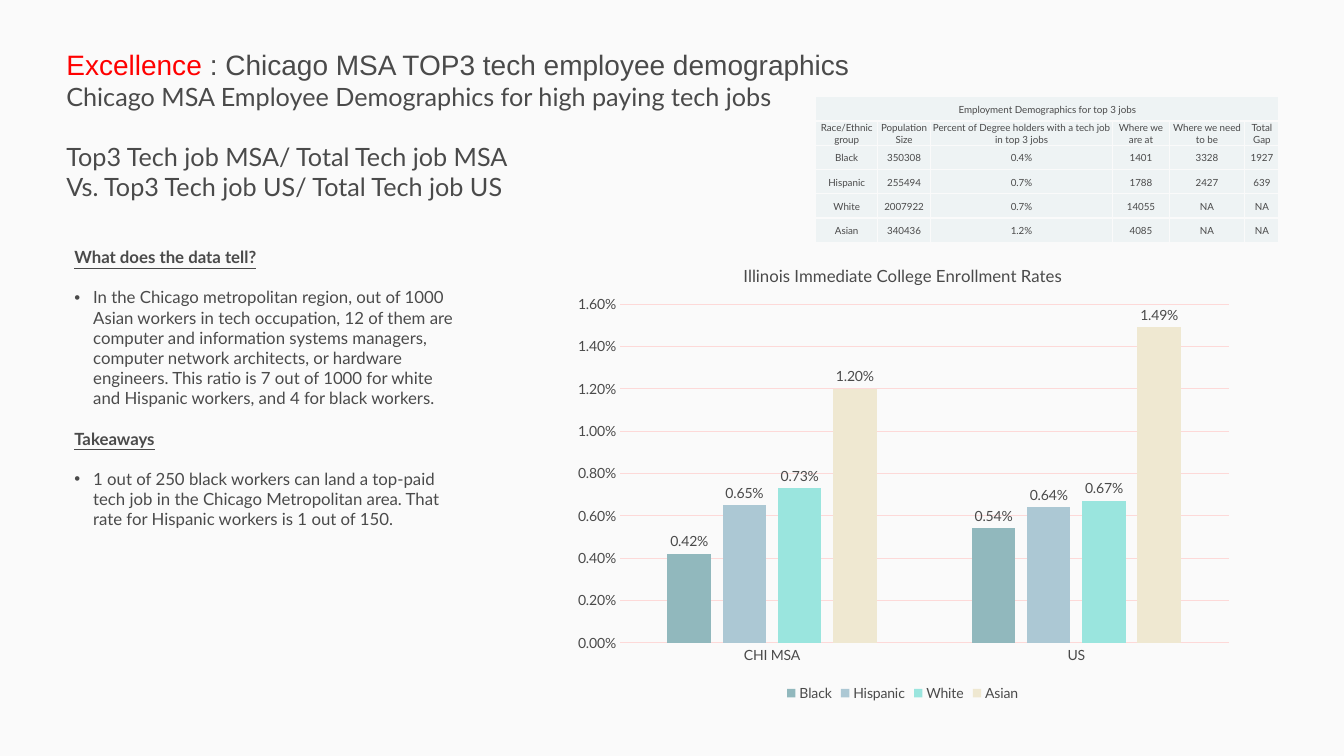
from lxml import etree
from pptx import Presentation
from pptx.chart.data import CategoryChartData
from pptx.dml.color import RGBColor
from pptx.enum import chart as charts, text
from pptx.oxml import ns
from pptx.util import Pt

COLORS = {
    "background": "FAFAFA", "text": "4A4A4A", "accent": "FF0000",
    "cell": "EEF3F4", "grid": "FDD9D8",
    "Black": "91B8BD", "Hispanic": "ACC8D4", "White": "9AE5DE", "Asian": "EFE8D1",
}


def style(font, color="text", **formats):
    for name, value in ({"name": "Lato"} | formats).items():
        setattr(font, name, value)
    font.color.rgb = RGBColor.from_string(COLORS[color])


def place(element, index, **fractions):
    """Give a chart part a manual layout in fractions of the chart's size."""
    for old in element.findall(ns.qn("c:layout")):
        element.remove(old)
    layout = etree.Element(ns.qn("c:layout"))
    manual = etree.SubElement(layout, ns.qn("c:manualLayout"))
    values = {"xMode": "edge", "yMode": "edge"} | fractions
    if "w" in fractions:
        values = {"layoutTarget": "inner"} | values
    for name, value in values.items():
        etree.SubElement(manual, ns.qn(f"c:{name}"), val=str(value))
    element.insert(index, layout)


presentation = Presentation()
presentation.slide_width, presentation.slide_height = Pt(960), Pt(540)
slide = presentation.slides.add_slide(presentation.slide_layouts[6])
slide.background.fill.solid()
slide.background.fill.fore_color.rgb = RGBColor.from_string(COLORS["background"])

# Heading and commentary: each paragraph is (space before, bulleted, runs)
heading_format = {"size": Pt(18)}
topic_format = {"size": Pt(12), "bold": True, "underline": True}
point_format = {"size": Pt(12)}
title_format = {"size": Pt(20), "name": "Arial"}
boxes = [
    ((40.3, 30.2, 880, 118.8), [
        (0, False, [
            ("Excellence ", title_format | {"color": "accent"}),
            (": Chicago MSA TOP3 tech employee demographics", title_format),
        ]),
        (0, False, [("Chicago MSA Employee Demographics for high paying tech jobs", heading_format)]),
        (21.6, False, [("Top3 Tech job MSA/ Total Tech job MSA", heading_format)]),
        (0, False, [("Vs. Top3 Tech job US/ Total Tech job US", heading_format)]),
    ]),
    ((46, 172.8, 292.3, 225.4), [
        (0, False, [("What does the data tell?", topic_format)]),
        (14.4, True, [(
            "In the Chicago metropolitan region, out of 1000 Asian workers in tech occupation, "
            "12 of them are computer and information systems managers, computer network "
            "architects, or hardware engineers. This ratio is 7 out of 1000 for white and "
            "Hispanic workers, and 4 for black workers.", point_format)]),
        (14.4, False, [("Takeaways", topic_format)]),
        (14.4, True, [(
            "1 out of 250 black workers can land a top-paid tech job in the Chicago "
            "Metropolitan area. That rate for Hispanic workers is 1 out of 150.", point_format)]),
    ]),
]
for bounds, paragraphs in boxes:
    frame = slide.shapes.add_textbox(*map(Pt, bounds)).text_frame
    frame.word_wrap = True
    frame.auto_size = text.MSO_AUTO_SIZE.SHAPE_TO_FIT_TEXT
    for index, (space, bulleted, runs) in enumerate(paragraphs):
        paragraph = frame.add_paragraph() if index else frame.paragraphs[0]
        if bulleted:
            properties = paragraph._p.get_or_add_pPr()
            properties.set("marL", str(Pt(13.5)))
            properties.set("indent", str(-Pt(13.5)))
            etree.SubElement(properties, ns.qn("a:buFont"), typeface="Arial")
            etree.SubElement(properties, ns.qn("a:buChar"), char="•")
        if space:
            paragraph.space_before = Pt(space)
        for words, formats in runs:
            run = paragraph.add_run()
            run.text = words
            style(run.font, **formats)

# Enrollment chart
chart_data = CategoryChartData(number_format="0.00%")
chart_data.categories = ["CHI MSA", "US"]
rates = {
    "Black": (0.0042, 0.0054), "Hispanic": (0.0065, 0.0064),
    "White": (0.0073, 0.0067), "Asian": (0.012, 0.0149),
}
for group, values in rates.items():
    chart_data.add_series(group, values)
chart = slide.shapes.add_chart(
    charts.XL_CHART_TYPE.COLUMN_CLUSTERED, Pt(403.2), Pt(172.8), Pt(483.1), Pt(331.2), chart_data
).chart
style(chart.font, size=Pt(10))

title_run = chart.chart_title.text_frame.paragraphs[0].add_run()
title_run.text = "Illinois Immediate College Enrollment Rates"
style(title_run.font, size=Pt(12), bold=False)
chart.chart_title.include_in_layout = False
place(chart.chart_title._element, 1, x=0.26, y=0.04)
place(chart._chartSpace.chart.plotArea, 0, x=0.082, y=0.134, w=0.9, h=0.731)

chart.has_legend = True
chart.legend.position = charts.XL_LEGEND_POSITION.BOTTOM
chart.legend.include_in_layout = False
style(chart.legend.font, size=Pt(10))

value_axis, category_axis = chart.value_axis, chart.category_axis
for axis in (value_axis, category_axis):
    axis.major_tick_mark = axis.minor_tick_mark = charts.XL_TICK_MARK.NONE
    style(axis.tick_labels.font, size=Pt(10))
value_axis.minimum_scale, value_axis.maximum_scale, value_axis.major_unit = 0, 0.016, 0.002
value_axis.tick_labels.number_format = "0.00%"
value_axis.tick_labels.number_format_is_linked = False
value_axis.format.line.fill.background()
for line in (value_axis.major_gridlines.format.line, category_axis.format.line):
    line.width = Pt(0.75)
    line.color.rgb = RGBColor.from_string(COLORS["grid"])

plot = chart.plots[0]
plot.gap_width, plot.overlap, plot.vary_by_categories = 219, -27, False
for series in plot.series:
    series.format.fill.solid()
    series.format.fill.fore_color.rgb = RGBColor.from_string(COLORS[series.name])
    labels = series.data_labels
    labels.show_value = True
    labels.position = charts.XL_LABEL_POSITION.OUTSIDE_END
    labels.number_format, labels.number_format_is_linked = "0.00%", False
    style(labels.font, size=Pt(10))

# Employment table
rows = [
    ["Employment Demographics for top 3 jobs"] + [""] * 5,
    ["Race/Ethnic group", "Population Size",
     "Percent of Degree holders with a tech job in top 3 jobs",
     "Where we are at", "Where we need to be", "Total Gap"],
    ["Black", "350308", "0.4%", "1401", "3328", "1927"],
    ["Hispanic", "255494", "0.7%", "1788", "2427", "639"],
    ["White", "2007922", "0.7%", "14055", "NA", "NA"],
    ["Asian", "340436", "1.2%", "4085", "NA", "NA"],
]
table = slide.shapes.add_table(
    len(rows), len(rows[0]), Pt(582.5), Pt(69.1), Pt(331.2), Pt(103.8)
).table
for column, width in zip(table.columns, (44.6, 37.4, 130.4, 40.3, 54, 24.5)):
    column.width = Pt(width)
table.cell(0, 0).merge(table.cell(0, 5))
for row_index, row in enumerate(rows):
    table.rows[row_index].height = Pt(17.3)
    for column_index, words in enumerate(row):
        cell = table.cell(row_index, column_index)
        cell.margin_left = cell.margin_right = cell.margin_top = Pt(0.7)
        cell.margin_bottom = 0
        cell.vertical_anchor = text.MSO_ANCHOR.MIDDLE
        for side in ("lnL", "lnR", "lnT", "lnB"):
            border = etree.SubElement(cell._tc.get_or_add_tcPr(), ns.qn(f"a:{side}"), w=str(Pt(1)))
            fill = etree.SubElement(border, ns.qn("a:solidFill"))
            etree.SubElement(fill, ns.qn("a:srgbClr"), val=COLORS["background"])
        cell.fill.solid()
        cell.fill.fore_color.rgb = RGBColor.from_string(COLORS["cell"])
        if words:
            paragraph = cell.text_frame.paragraphs[0]
            paragraph.alignment = text.PP_ALIGN.CENTER
            run = paragraph.add_run()
            run.text = words
            style(run.font, size=Pt(7), bold=False)

presentation.save("out.pptx")
